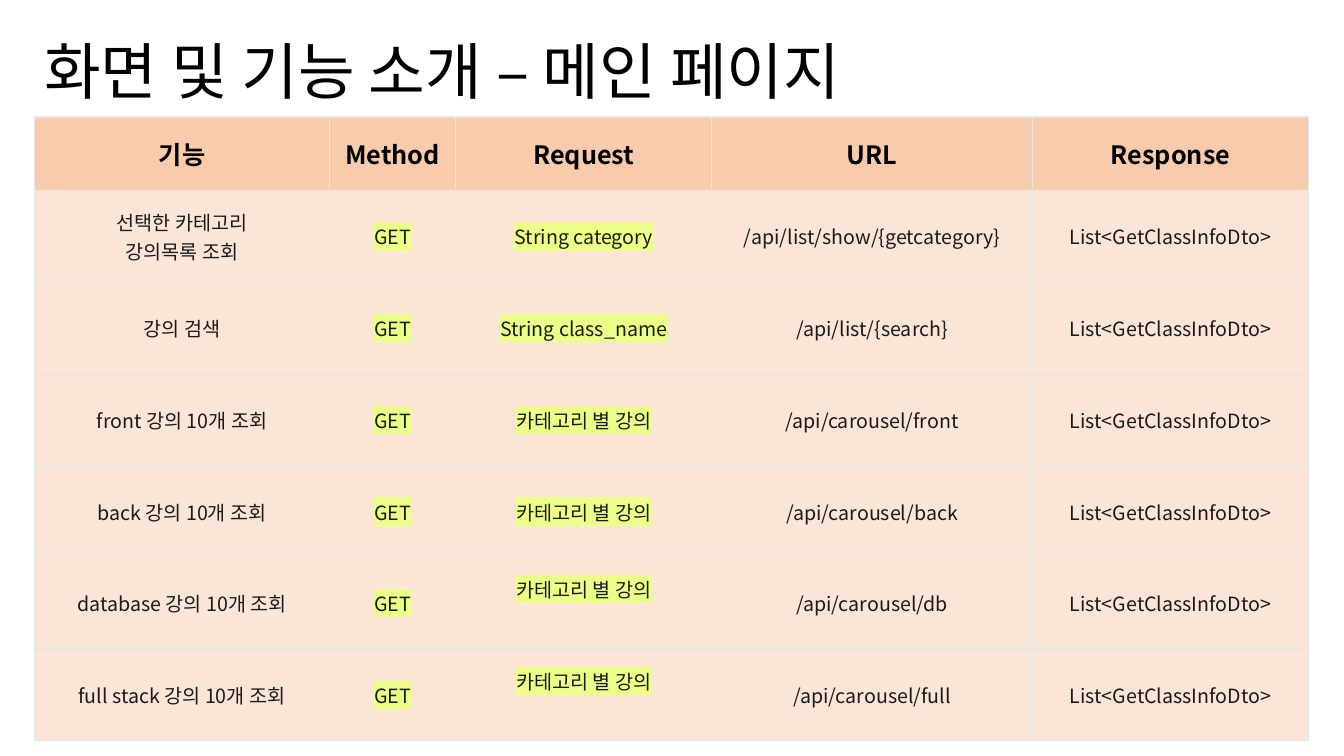
from pptx import Presentation
from pptx import util as u
from pptx.dml.color import RGBColor
from pptx.enum import text
from pptx.oxml import ns, xmlchemy

FONT = "Noto Sans CJK KR"
TITLE = "화면 및 기능 소개 – 메인 페이지"
HEADERS = ["기능", "Method", "Request", "URL", "Response"]
BY_CATEGORY = "카테고리 별 강의"
APIS = [
    ("선택한 카테고리\n강의목록 조회", "String category", "list/show/{getcategory}"),
    ("강의 검색", "String class_name", "list/{search}"),
    ("front 강의 10개 조회", BY_CATEGORY, "carousel/front"),
    ("back 강의 10개 조회", BY_CATEGORY, "carousel/back"),
    ("database 강의 10개 조회", BY_CATEGORY, "carousel/db"),
    ("full stack 강의 10개 조회", BY_CATEGORY, "carousel/full"),
]
COL_WIDTHS = [2.93, 1.25, 2.54, 3.18, 2.74]
HEADER_HEIGHT, ROW_HEIGHT = 0.73, 0.91
HIGHLIGHTED = ("Method", "Request")
RAISED_ROWS = (5, 6)


def rgb(value):
    return RGBColor.from_string(value)


def add_xml(parent, tag, **attrs):
    child = xmlchemy.OxmlElement(tag)
    for name, value in attrs.items():
        child.set(name, value)
    parent.append(child)
    return child


def format_text(tf, size, color, bold=False, align=None, highlight=None):
    for p in tf.paragraphs:
        p.alignment = align
        for r in p.runs:
            r.font.size, r.font.bold, r.font.name = u.Pt(size), bold, FONT
            r.font.color.rgb = rgb(color)
            rPr = r.font._element
            add_xml(rPr, "a:ea", typeface=FONT)
            if highlight:
                mark = xmlchemy.OxmlElement("a:highlight")
                add_xml(mark, "a:srgbClr", val=highlight)
                rPr.find(ns.qn("a:latin")).addprevious(mark)


def set_borders(cell, color, width):
    """Draw all four edges; they must precede the fill in the cell's XML."""
    tcPr = cell._tc.get_or_add_tcPr()
    for i, edge in enumerate("LRTB"):
        ln = xmlchemy.OxmlElement(f"a:ln{edge}")
        ln.set("w", str(u.Pt(width)))
        add_xml(add_xml(ln, "a:solidFill"), "a:srgbClr", val=color)
        tcPr.insert(i, ln)


def add_title(s, left, top, width, height):
    tf = s.shapes.add_textbox(*map(u.Inches, (left, top, width, height))).text_frame
    tf.word_wrap = True
    tf.vertical_anchor = text.MSO_ANCHOR.MIDDLE
    tf.text = TITLE
    tf.paragraphs[0].line_spacing = 0.9
    format_text(tf, 44, "000000")


def add_api_table(s, left, top):
    rows = [HEADERS] + [
        (feature, "GET", request, f"/api/{url}", "List<GetClassInfoDto>")
        for feature, request, url in APIS
    ]
    heights = [HEADER_HEIGHT] + [ROW_HEIGHT] * len(APIS)
    box = (left, top, sum(COL_WIDTHS), sum(heights))
    table = s.shapes.add_table(len(rows), len(HEADERS), *map(u.Inches, box)).table
    for col, width in zip(table.columns, COL_WIDTHS):
        col.width = u.Inches(width)
    for row, height in zip(table.rows, heights):
        row.height = u.Inches(height)
    for i, values in enumerate(rows):
        for j, value in enumerate(values):
            cell = table.cell(i, j)
            cell.text = value
            cell.vertical_anchor = text.MSO_ANCHOR.MIDDLE
            cell.fill.solid()
            cell.fill.fore_color.rgb = rgb("FBE5D6" if i else "F8CBAD")
            set_borders(cell, "E6E6E6", 1)
            if i in RAISED_ROWS and HEADERS[j] == "Request":
                cell.margin_bottom = u.Inches(0.33)
            format_text(
                cell.text_frame,
                size=14 if i else 18,
                color="1A1A1A" if i else "000000",
                bold=i == 0,
                align=text.PP_ALIGN.CENTER,
                highlight="ECFF88" if i and HEADERS[j] in HIGHLIGHTED else None,
            )


def main():
    prs = Presentation()
    prs.slide_width, prs.slide_height = u.Inches(13.33), u.Inches(7.5)
    s = prs.slides.add_slide(prs.slide_layouts[6])
    add_title(s, 0.34, 0.19, 11.5, 1.09)
    add_api_table(s, 0.34, 1.16)
    prs.save("out.pptx")


if __name__ == "__main__":
    main()
